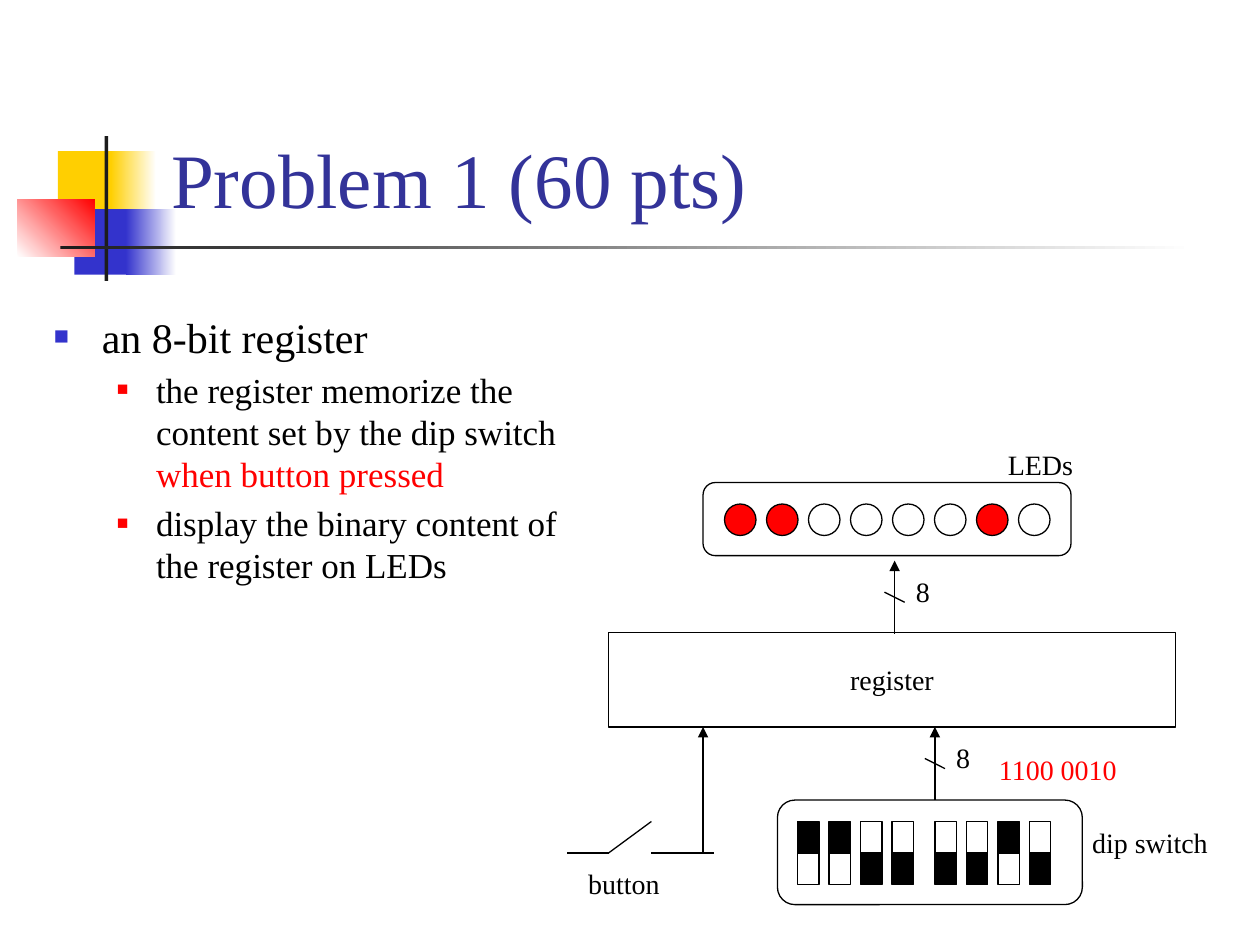
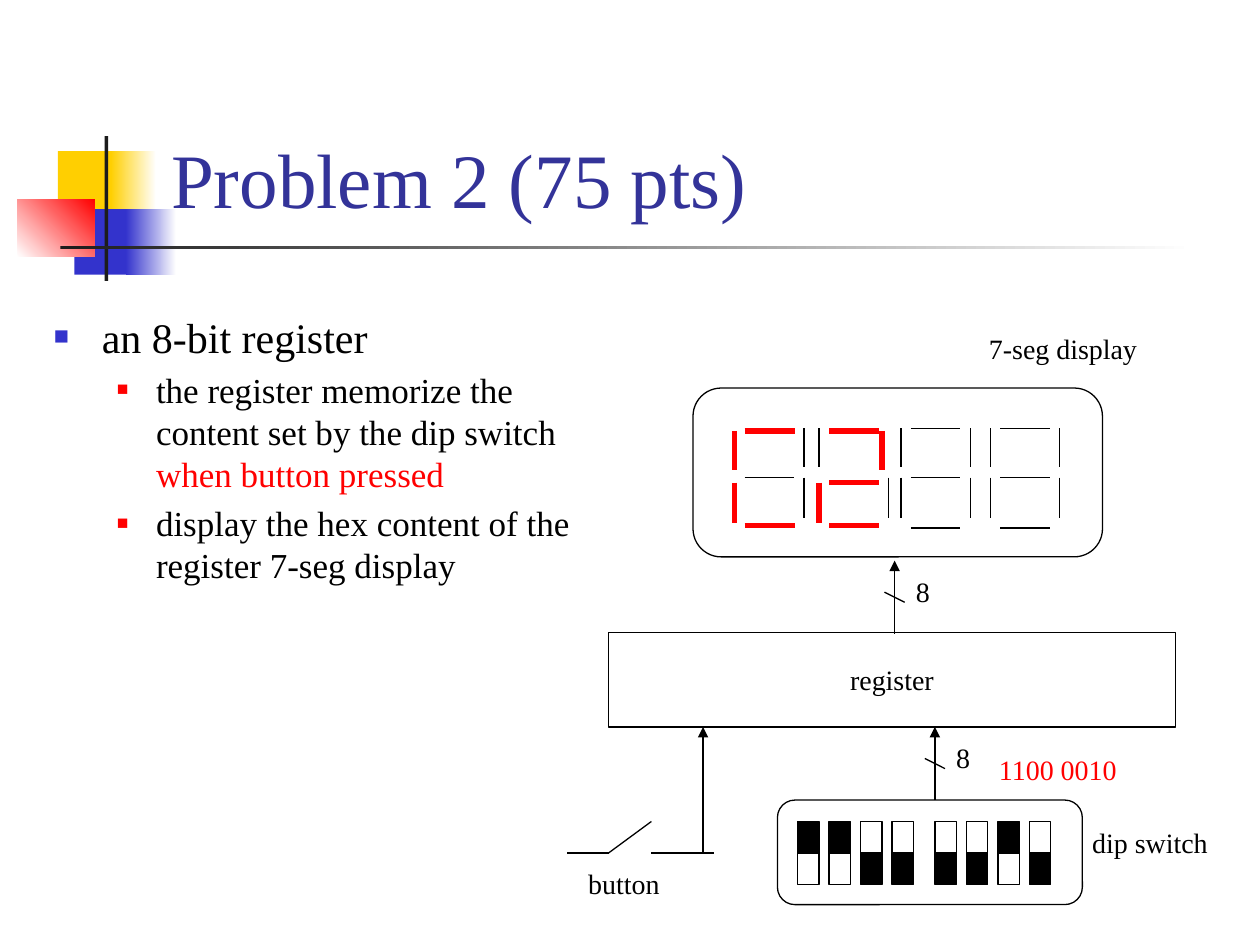
from lxml.etree import SubElement
from pptx import Presentation
from pptx.dml.color import RGBColor
from pptx.enum.shapes import MSO_CONNECTOR as Connector, MSO_SHAPE as Shape
from pptx.enum.text import MSO_ANCHOR as Anchor, MSO_AUTO_SIZE as AutoSize, PP_ALIGN as Align
from pptx.oxml.ns import qn
from pptx.util import Inches, Pt

FONT = "Times New Roman"
BLACK, WHITE, RED = "000000", "FFFFFF", "FF0000"
YELLOW, BLUE, NAVY, CHARCOAL = "FFCF01", "3333CC", "333399", "1C1C1C"
THIN, THICK = 0.75, 3
BITS = "11000010"

# Title ornament: left, top, width, height, gradient colours, angle
ORNAMENT = [
    (0.46, 1.2, 0.48, 0.52, [YELLOW], 0),
    (0.88, 1.2, 0.36, 0.52, [YELLOW, WHITE], 0),
    (0.59, 1.66, 0.46, 0.52, [BLUE], 0),
    (1, 1.66, 0.4, 0.52, [BLUE, WHITE], 0),
    (0.14, 1.58, 0.61, 0.46, [WHITE, RED], 45),
    (0.83, 1.08, 0.03, 1.15, [CHARCOAL], 0),
    (0.48, 1.95, 9, 0.03, [CHARCOAL, WHITE], 0),
]

# Bullet levels: left margin, hanging indent, text size, bullet size %, bullet colour
LEVELS = [(0.38, 0.38, 24, 60, BLUE), (0.81, 0.31, 20, 55, RED)]

# Segment ends within one digit, as x1, y1, x2, y2
UNLIT = {
    "a": (0.08, 0, 0.47, 0), "g": (0.08, 0.39, 0.47, 0.39), "d": (0.08, 0.79, 0.47, 0.79),
    "f": (0, 0, 0, 0.31), "b": (0.55, 0, 0.55, 0.31),
    "e": (0, 0.39, 0, 0.71), "c": (0.55, 0.39, 0.55, 0.71),
}
LIT = {
    "a": (0.08, 0.02, 0.48, 0.02), "g": (0.08, 0.43, 0.48, 0.43), "d": (0.08, 0.77, 0.48, 0.77),
    "f": (0, 0.02, 0, 0.33), "b": (0.5, 0.02, 0.5, 0.33),
    "e": (0, 0.43, 0, 0.75), "c": (0.5, 0.43, 0.5, 0.75),
}
# Left edge of each digit in the display, and its lit segments
DIGITS = [(0.33, "adef"), (1, "abdeg"), (1.65, ""), (2.36, "")]


def rgb(color):
    return RGBColor.from_string(color)


def style_font(font, size, color):
    values = {"name": FONT, "size": Pt(size)}
    for name, value in values.items():
        setattr(font, name, value)
    font.color.rgb = rgb(color)


def add_outline(slide, kind, left, top, width, height, fill=None):
    """Black thin-lined shape, hollow unless a fill is given."""
    shape = slide.shapes.add_shape(kind, *map(Inches, (left, top, width, height)))
    shape.shadow.inherit = False
    shape.line.color.rgb = rgb(BLACK)
    shape.line.width = Pt(THIN)
    if fill:
        shape.fill.solid()
        shape.fill.fore_color.rgb = rgb(fill)
    else:
        shape.fill.background()
    return shape


def add_line(slide, x1, y1, x2, y2, color=BLACK, width=THIN, arrow=False):
    line = slide.shapes.add_connector(Connector.STRAIGHT, *map(Inches, (x1, y1, x2, y2)))
    line.line.color.rgb = rgb(color)
    line.line.width = Pt(width)
    if arrow:
        SubElement(line.line._get_or_add_ln(), qn("a:tailEnd"), type="triangle")
    SubElement(line._element.spPr, qn("a:effectLst"))


def add_label(slide, text, left, top, width, color=BLACK):
    label = slide.shapes.add_textbox(*map(Inches, (left, top, width, 0.37)))
    frame = label.text_frame
    frame.word_wrap = False
    frame.auto_size = AutoSize.SHAPE_TO_FIT_TEXT
    run = frame.paragraphs[0].add_run()
    run.text = text
    style_font(run.font, 16, color)


def add_heading(slide, title):
    # Coloured squares and rules
    for left, top, width, height, colors, angle in ORNAMENT:
        block = slide.shapes.add_shape(Shape.RECTANGLE, *map(Inches, (left, top, width, height)))
        block.shadow.inherit = False
        block.line.fill.background()
        if len(colors) == 1:
            block.fill.solid()
            block.fill.fore_color.rgb = rgb(colors[0])
        else:
            block.fill.gradient()
            block.fill.gradient_angle = angle
            for stop, color in zip(block.fill.gradient_stops, colors):
                stop.color.rgb = rgb(color)
    # Title text
    heading = slide.shapes.add_textbox(*map(Inches, (1.26, 0.23, 8.52, 1.6)))
    frame = heading.text_frame
    frame.word_wrap = True
    frame.vertical_anchor = Anchor.BOTTOM
    run = frame.paragraphs[0].add_run()
    run.text = title
    style_font(run.font, 44, NAVY)


def add_bullets(slide, left, top, width, height, items):
    """Each item is a level and its (text, colour) runs."""
    body = slide.shapes.add_textbox(*map(Inches, (left, top, width, height)))
    frame = body.text_frame
    frame.word_wrap = True
    for index, (level, runs) in enumerate(items):
        margin, hang, size, bullet_size, bullet_color = LEVELS[level]
        paragraph = frame.add_paragraph() if index else frame.paragraphs[0]
        paragraph.level = level
        paragraph.space_before = Pt(0.2 * size if index else 0)
        props = paragraph._p.get_or_add_pPr()
        props.set("marL", str(Inches(margin)))
        props.set("indent", str(-Inches(hang)))
        tint = SubElement(props, qn("a:buClr"))
        SubElement(tint, qn("a:srgbClr"), val=bullet_color)
        SubElement(props, qn("a:buSzPct"), val=str(bullet_size * 1000))
        SubElement(props, qn("a:buFont"), typeface=FONT)
        SubElement(props, qn("a:buChar"), char="■")
        for text, color in runs:
            run = paragraph.add_run()
            run.text = text
            style_font(run.font, size, color)


def add_bus(slide, x, bottom, height):
    """Upward arrow with a slash and its bit count."""
    add_line(slide, x, bottom, x, bottom - height, arrow=True)
    add_line(slide, x - 0.08, bottom - 0.33, x + 0.08, bottom - 0.25)
    add_label(slide, "8", x + 0.07, bottom - 0.52, 0.31)


def add_register(slide, left, top, width, height):
    register = add_outline(slide, Shape.RECTANGLE, left, top, width, height)
    frame = register.text_frame
    frame.word_wrap = False
    frame.vertical_anchor = Anchor.MIDDLE
    paragraph = frame.paragraphs[0]
    paragraph.alignment = Align.CENTER
    run = paragraph.add_run()
    run.text = "register"
    style_font(run.font, 16, BLACK)


def add_dip_switch(slide, left, top, width, height):
    half = 0.25
    for index, bit in enumerate(BITS):
        x = left + 0.16 + 0.25 * index + 0.09 * (index // 4)  # wider gap between nibbles
        upper, lower = (BLACK, None) if bit == "1" else (None, BLACK)
        for row, fill in enumerate((upper, lower)):
            add_outline(slide, Shape.RECTANGLE, x, top + 0.17 + half * row, 0.17, half, fill)
    case = add_outline(slide, Shape.ROUNDED_RECTANGLE, left, top, width, height)
    case.adjustments[0] = 0.167
    add_label(slide, "dip switch", left + width - 0.02, top + 0.15, 1.12)
    add_label(slide, "1100 0010", left + 1.66, top - 0.43, 1.15, RED)


def add_button(slide, left, top):
    wire = top + 0.25
    add_line(slide, left, wire, left + 0.33, wire)
    add_line(slide, left + 0.33, wire, left + 0.67, top)
    add_line(slide, left + 0.67, wire, left + 1.17, wire)
    add_line(slide, left + 1.08, wire, left + 1.08, top - 0.75, arrow=True)
    add_label(slide, "button", left + 0.07, top + 0.31, 0.77)


def add_circuit(slide, left, top):
    """Register with its inputs and the bus that leaves it."""
    add_register(slide, left + 0.33, top, 4.5, 0.75)
    add_dip_switch(slide, left + 1.67, top + 1.33, 2.42, 0.83)
    add_bus(slide, left + 2.92, top + 1.33, 0.58)
    add_button(slide, left, top + 1.5)
    add_bus(slide, left + 2.6, top + 0.01, 0.58)


def add_leds(slide, left, top, width, height):
    for index, bit in enumerate(BITS):
        add_outline(slide, Shape.OVAL, left + 0.17 + index / 3, top + 0.17, 0.25, 0.25,
                    RED if bit == "1" else None)
    case = add_outline(slide, Shape.ROUNDED_RECTANGLE, left, top, width, height)
    case.adjustments[0] = 0.167
    add_label(slide, "LEDs", left + 2.32, top - 0.33, 0.72)


def add_seven_segments(slide, left, top, width, height):
    for offset, lit in DIGITS:
        x, y = left + offset, top + 0.32
        for segment in "abcdefg":
            on = segment in lit
            x1, y1, x2, y2 = (LIT if on else UNLIT)[segment]
            add_line(slide, x + x1, y + y1, x + x2, y + y2,
                     RED if on else BLACK, THICK if on else THIN)
    case = add_outline(slide, Shape.ROUNDED_RECTANGLE, left, top, width, height)
    case.adjustments[0] = 0.167
    add_label(slide, "7-seg display", left + 2.25, top - 0.5, 1.38)


def add_problem(deck, title, task, add_output, output_box):
    slide = deck.slides.add_slide(deck.slide_layouts[6])
    add_heading(slide, title)
    add_bullets(slide, 0.33, 2.42, 4.58, 4.17, [
        (0, [("an 8-bit register", BLACK)]),
        (1, [("the register memorize the content set by the dip switch ", BLACK),
             ("when button pressed", RED)]),
        (1, [(task, BLACK)]),
    ])
    add_circuit(slide, 4.5, 5.02)
    add_output(slide, *output_box)


def main():
    deck = Presentation()
    deck.slide_width, deck.slide_height = Inches(10), Inches(7.5)
    add_problem(deck, "Problem 1 (60 pts)",
                "display the binary content of the register on LEDs",
                add_leds, (5.58, 3.83, 2.92, 0.58))
    add_problem(deck, "Problem 2 (75 pts)",
                "display the hex content of the register 7-seg display",
                add_seven_segments, (5.5, 3.08, 3.25, 1.34))
    deck.save("out.pptx")


if __name__ == "__main__":
    main()
